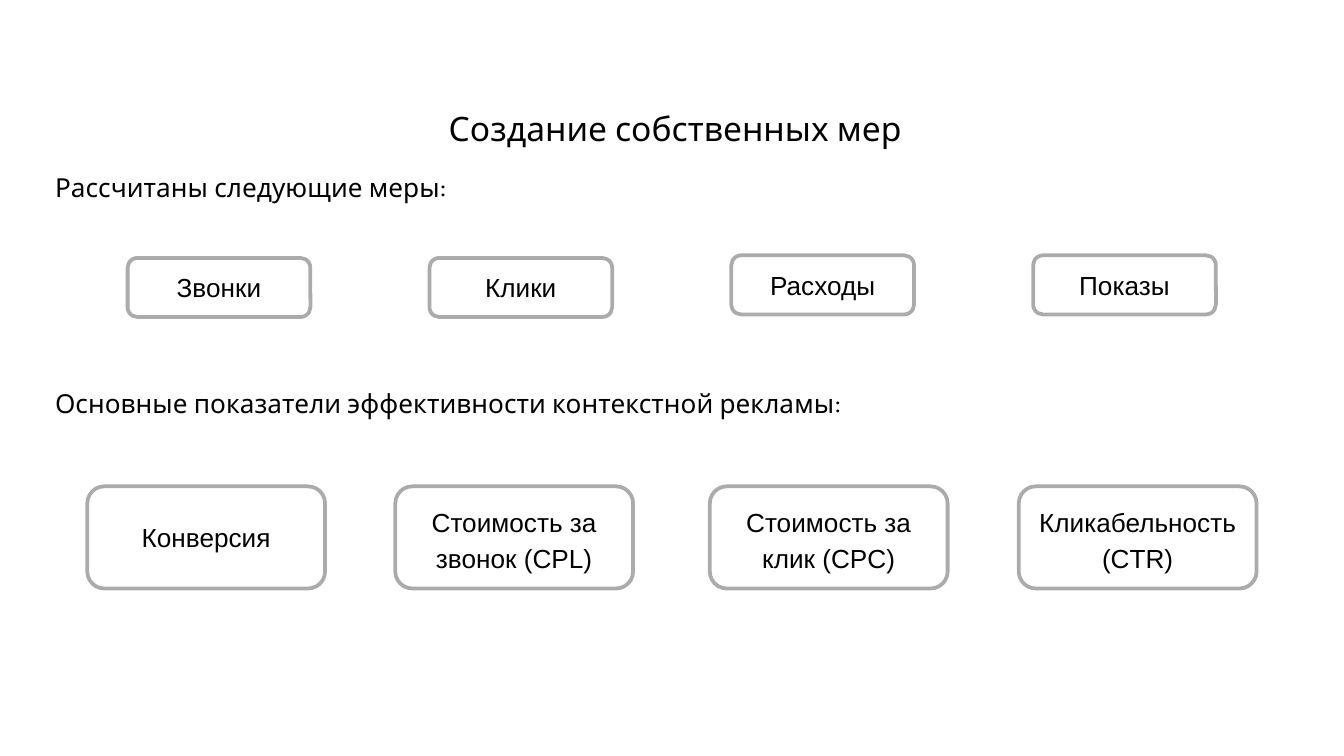
from lxml.etree import SubElement
from pptx import Presentation
from pptx.dml.color import RGBColor
from pptx.enum.shapes import MSO_SHAPE as Shape
from pptx.enum.text import MSO_ANCHOR as Anchor, MSO_AUTO_SIZE as AutoSize, PP_ALIGN as Align
from pptx.oxml.ns import qn
from pptx.util import Pt

BLACK = RGBColor(0x00, 0x00, 0x00)
HEADING_FONT = "Karla"
LABEL_FONT = "Arial"
OUTLINE_OPACITY = 32

MEASURES = [
    ("Звонки", 0, 1.4, 1),
    ("Клики", 161.7, 1.4, 1),
    ("Расходы", 323.4, 0, 1),
    ("Показы", 485.1, 0, 1),
]
INDICATORS = [
    ("Конверсия", 0, 0, 1),
    ("Стоимость за звонок (CPL)", 165, 0, 1.15),
    ("Стоимость за клик (CPC)", 333.5, 0, 1.15),
    ("Кликабельность (CTR)", 499, 0, 1.15),
]


def add_run(paragraph, text, font_name, size):
    """Add one black run to a paragraph."""
    run = paragraph.add_run()
    run.text = text
    run.font.name = font_name
    run.font.size = Pt(size)
    run.font.color.rgb = BLACK


def clear_margins(frame):
    """Remove the inner margins of a text frame."""
    frame.margin_left = frame.margin_right = 0
    frame.margin_top = frame.margin_bottom = 0


def place_title(slide, left, top, width, height):
    """Move and format the title placeholder."""
    title = slide.shapes.title
    title.left, title.top = Pt(left), Pt(top)
    title.width, title.height = Pt(width), Pt(height)
    frame = title.text_frame
    clear_margins(frame)
    frame.margin_top = Pt(0.9)
    frame.vertical_anchor = Anchor.TOP
    frame.auto_size = AutoSize.SHAPE_TO_FIT_TEXT
    paragraph = frame.paragraphs[0]
    paragraph.alignment = Align.CENTER
    add_run(paragraph, "Создание собственных мер", HEADING_FONT, 18)


def add_headings(slide, left, top, width, height):
    """Add the headings of both rows, with room for the boxes between them."""
    box = slide.shapes.add_textbox(Pt(left), Pt(top), Pt(width), Pt(height))
    frame = box.text_frame
    frame.word_wrap = True
    clear_margins(frame)
    first, second = frame.paragraphs[0], frame.add_paragraph()
    second.space_before = Pt(96.5)
    for paragraph, text in (
        (first, "Рассчитаны следующие меры:"),
        (second, "Основные показатели эффективности контекстной рекламы:"),
    ):
        paragraph.line_spacing = 1.15
        add_run(paragraph, text, HEADING_FONT, 14)


def add_box_row(slide, left, top, box_width, box_height, items):
    """Add a row of outlined labels, each offset from the row's corner."""
    for text, offset_x, offset_y, spacing in items:
        shape = slide.shapes.add_shape(
            Shape.ROUNDED_RECTANGLE,
            Pt(left + offset_x), Pt(top + offset_y), Pt(box_width), Pt(box_height),
        )
        shape.shadow.inherit = False
        shape.fill.background()
        shape.line.width = Pt(2)
        shape.line.color.rgb = BLACK
        color = shape.line.fill._xPr.find(".//" + qn("a:srgbClr"))
        SubElement(color, qn("a:alpha"), val=str(OUTLINE_OPACITY * 1000))
        frame = shape.text_frame
        frame.word_wrap = True
        frame.vertical_anchor = Anchor.MIDDLE
        paragraph = frame.paragraphs[0]
        paragraph.alignment = Align.CENTER
        paragraph.line_spacing = float(spacing)
        add_run(paragraph, text, LABEL_FONT, 14)


def main():
    """Build the slide and save the presentation."""
    presentation = Presentation()
    presentation.slide_width, presentation.slide_height = Pt(720), Pt(405)
    slide = presentation.slides.add_slide(presentation.slide_layouts[5])
    add_headings(slide, 29.5, 89.3, 635, 265)
    place_title(slide, 42.5, 56.9, 638.6, 22.3)
    add_box_row(slide, 68.4, 136.8, 97.9, 31.7, MEASURES)
    add_box_row(slide, 46.8, 260.6, 127.4, 54.7, INDICATORS)
    presentation.save("out.pptx")


if __name__ == "__main__":
    main()
